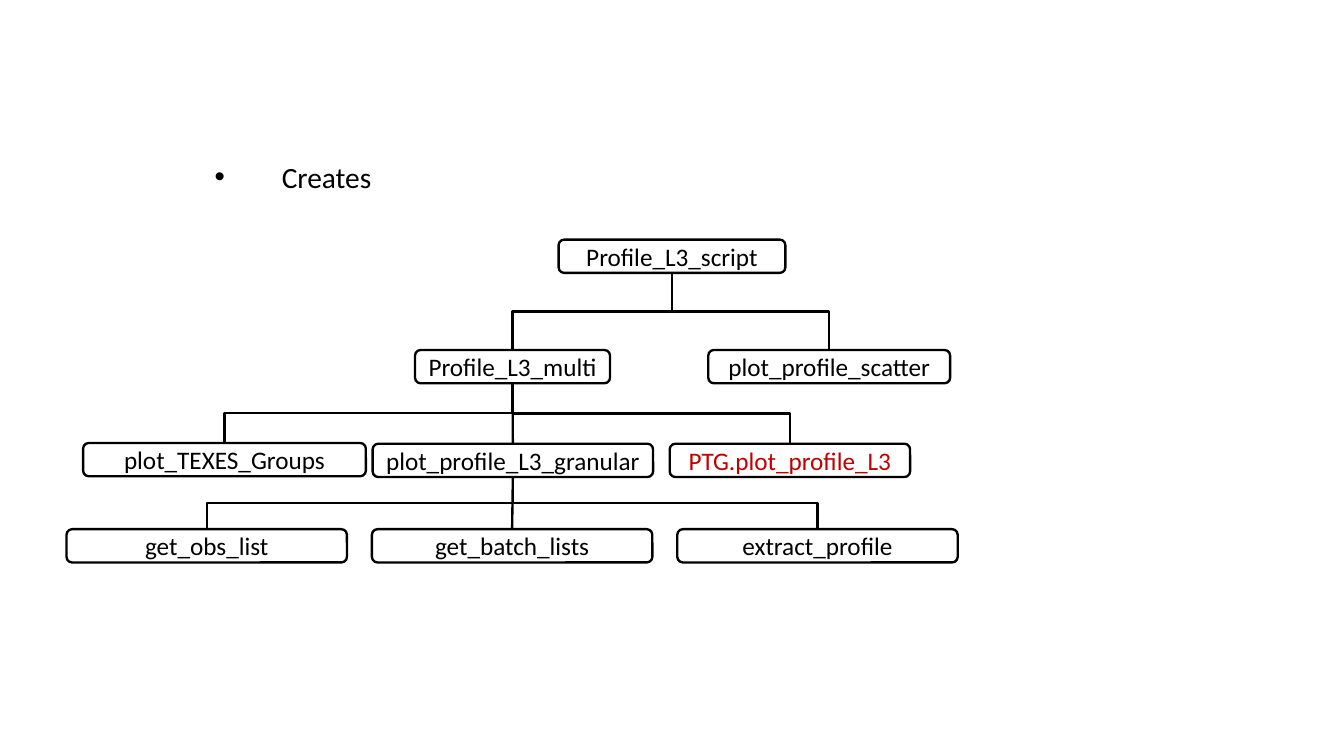
from dataclasses import dataclass

from lxml import etree
from pptx import Presentation
from pptx.dml.color import RGBColor
from pptx.enum import shapes, text
from pptx.oxml import ns
from pptx.util import Inches, Pt


@dataclass(frozen=True)
class Theme:
    font: str = "Calibri"
    ink: str = "000000"
    paper: str = "FFFFFF"
    accent: str = "C00000"
    box_size: float = 24
    bullet_size: float = 28
    line_width: float = 2.25


@dataclass(frozen=True)
class Node:
    name: str
    left: float
    top: float
    width: float
    parent: str = ""
    color: str = Theme.ink


THEME = Theme()
BOX_HEIGHT = 0.44
LEAF_LEFT, LEAF_STEP, LEAF_WIDTH = 0.88, 4.04, 3.71
SCRIPT, MULTI, GRANULAR = "Profile_L3_script", "Profile_L3_multi", "plot_profile_L3_granular"
LEAVES = ("get_obs_list", "get_batch_lists", "extract_profile")

NODES = [
    Node(SCRIPT, 7.39, 3.17, 3),
    Node(MULTI, 5.49, 4.63, 2.58, SCRIPT),
    Node("plot_profile_scatter", 9.37, 4.63, 3.2, SCRIPT),
    Node("plot_TEXES_Groups", 1.1, 5.86, 3.74, MULTI),
    Node(GRANULAR, 4.93, 5.87, LEAF_WIDTH, MULTI),
    Node("PTG.plot_profile_L3", 8.86, 5.87, 3.18, MULTI, THEME.accent),
] + [
    Node(name, LEAF_LEFT + column * LEAF_STEP, 7, LEAF_WIDTH, GRANULAR)
    for column, name in enumerate(LEAVES)
]


def write(frame, content: str, *, size: float, color: str = THEME.ink, align=None):
    paragraph = frame.paragraphs[0]
    paragraph.alignment = align
    run = paragraph.add_run()
    run.text = content
    run.font.name = THEME.font
    run.font.size = Pt(size)
    run.font.color.rgb = RGBColor.from_string(color)
    return paragraph


def style_line(shape) -> None:
    shape.line.color.rgb = RGBColor.from_string(THEME.ink)
    shape.line.width = Pt(THEME.line_width)


def add_box(slide, node: Node):
    box = slide.shapes.add_shape(
        shapes.MSO_SHAPE.ROUNDED_RECTANGLE,
        Inches(node.left), Inches(node.top), Inches(node.width), Inches(BOX_HEIGHT),
    )
    box.shadow.inherit = False
    box.fill.solid()
    box.fill.fore_color.rgb = RGBColor.from_string(THEME.paper)
    style_line(box)
    frame = box.text_frame
    frame.margin_left = frame.margin_right = frame.margin_top = frame.margin_bottom = 0
    frame.vertical_anchor = text.MSO_ANCHOR.MIDDLE
    write(frame, node.name, size=THEME.box_size, color=node.color, align=text.PP_ALIGN.CENTER)
    return box


def add_link(slide, parent, child) -> None:
    start_x, start_y = parent.left + parent.width // 2, parent.top + parent.height
    end_x, end_y = child.left + child.width // 2, child.top
    across, down = end_x - start_x, end_y - start_y
    straight = abs(across) < Inches(0.05)
    kind = shapes.MSO_CONNECTOR.STRAIGHT if straight else shapes.MSO_CONNECTOR.ELBOW
    connector = slide.shapes.add_connector(kind, start_x, start_y, end_x, end_y)
    connector.begin_connect(parent, 2)
    connector.end_connect(child, 0)
    style_line(connector)
    properties = connector._element.spPr
    etree.SubElement(properties, ns.qn("a:effectLst"))
    if straight:
        return
    connector.width, connector.height = down, abs(across)
    connector.left = (start_x + end_x - down) // 2
    connector.top = (start_y + end_y - abs(across)) // 2
    transform = properties.find(ns.qn("a:xfrm"))
    transform.set("rot", str((270 if across > 0 else 90) * 60000))
    transform.set("flipH", "1" if across > 0 else "0")
    transform.set("flipV", "0")


def add_bullet(slide, content: str) -> None:
    box = slide.shapes.add_textbox(Inches(2.74), Inches(2.05), Inches(12.3), Inches(0.57))
    box.text_frame.word_wrap = True
    box.text_frame.auto_size = text.MSO_AUTO_SIZE.SHAPE_TO_FIT_TEXT
    paragraph = write(box.text_frame, content, size=THEME.bullet_size)
    properties = paragraph._p.get_or_add_pPr()
    indent = Inches(0.89)
    properties.set("marL", str(indent))
    properties.set("indent", str(-indent))
    etree.SubElement(properties, ns.qn("a:buFont")).set("typeface", "Arial")
    etree.SubElement(properties, ns.qn("a:buChar")).set("char", "•")


def main() -> None:
    presentation = Presentation()
    presentation.slide_width, presentation.slide_height = Inches(17.78), Inches(10)
    slide = presentation.slides.add_slide(presentation.slide_layouts[6])
    add_bullet(slide, "Creates")
    boxes = {node.name: add_box(slide, node) for node in NODES}
    for node in NODES:
        if node.parent:
            add_link(slide, boxes[node.parent], boxes[node.name])
    presentation.save("out.pptx")


if __name__ == "__main__":
    main()
